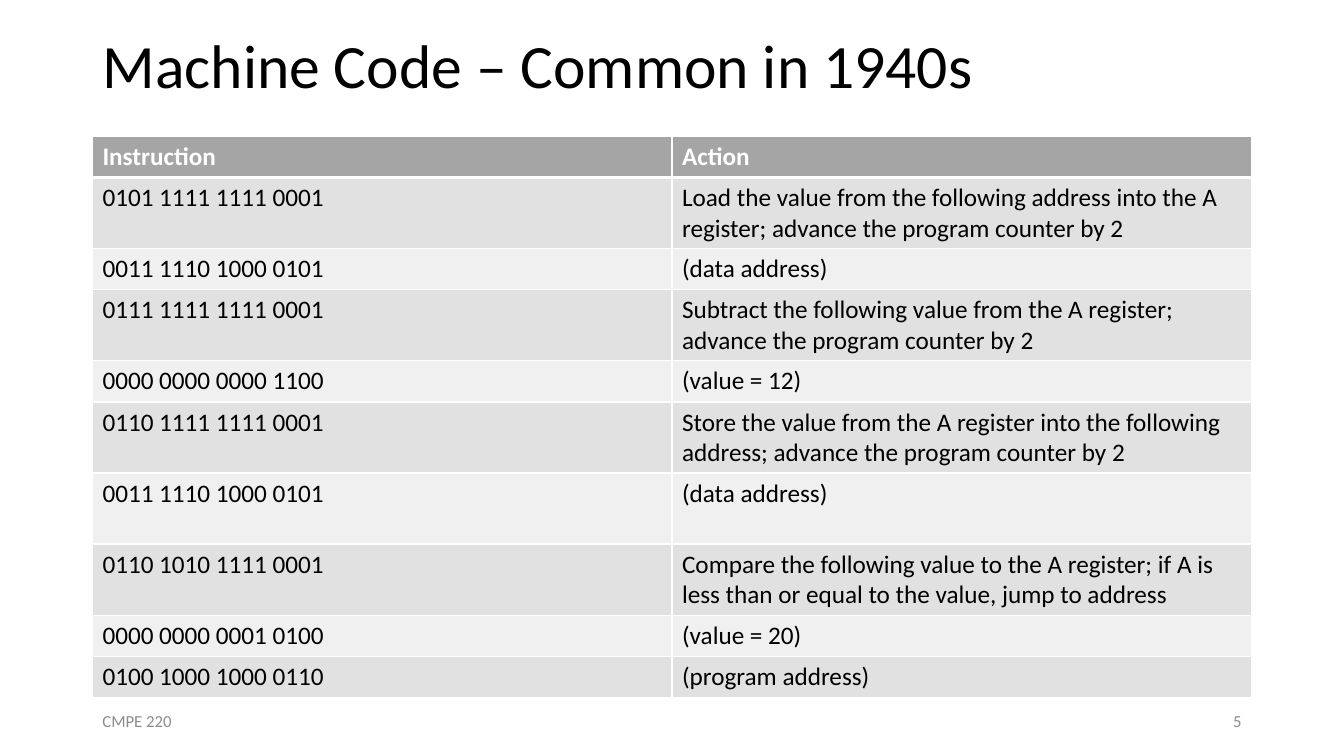
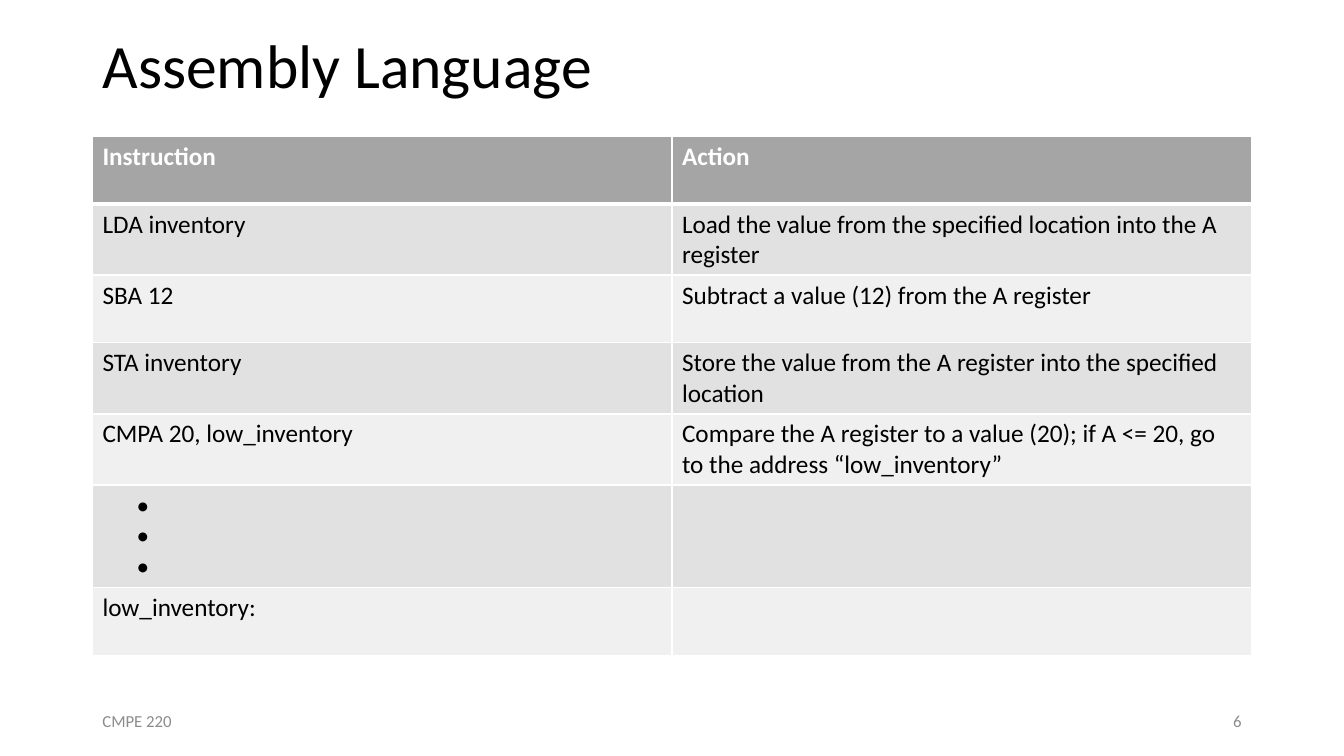
from dataclasses import dataclass

from lxml.etree import SubElement
from pptx import Presentation
from pptx.dml.color import RGBColor
from pptx.enum.text import MSO_ANCHOR as Anchor, MSO_AUTO_SIZE as AutoSize, PP_ALIGN as Align
from pptx.oxml.ns import qn
from pptx.util import Cm, Pt


@dataclass(frozen=True)
class Theme:
    font: str = "Calibri"
    title_size: int = 44
    table_size: int = 18
    footer_size: int = 12
    ink: str = "000000"
    white: str = "FFFFFF"
    footer: str = "8C8C8C"
    header: str = "A5A5A5"
    bands: tuple = ("E1E1E1", "F0F0F0")
    thin: int = 1
    thick: int = 3


THEME = Theme()

SLIDE_WIDTH, SLIDE_HEIGHT = Cm(33.87), Cm(19.05)
LEFT, WIDTH = Cm(2.33), Cm(29.21)
TITLE_HEIGHT = Cm(3.43)
FOOTER_TOP, FOOTER_WIDTH, FOOTER_HEIGHT = Cm(17.66), Cm(7.62), Cm(1.01)
DOT_INDENT = Cm(0.86)
SINGLE, MEDIUM, DOUBLE, TRIPLE = Cm(1.04), Cm(1.71), Cm(1.79), Cm(2.58)

COURSE = "CMPE 220"
FIRST_NUMBER = 5
HEADINGS = ("Instruction", "Action")
DOTS = "•\n•\n•"

SLIDES = [
    {
        "title": "Machine Code – Common in 1940s",
        "header_height": SINGLE,
        "rows": [
            (DOUBLE, "0101 1111 1111 0001",
             "Load the value from the following address into the A register; advance the program counter by 2"),
            (SINGLE, "0011 1110 1000 0101", "(data address)"),
            (DOUBLE, "0111 1111 1111 0001",
             "Subtract the following value from the A register; advance the program counter by 2"),
            (SINGLE, "0000 0000 0000 1100", "(value = 12)"),
            (DOUBLE, "0110 1111 1111 0001",
             "Store the value from the A register into the following address; advance the program counter by 2"),
            (DOUBLE, "0011 1110 1000 0101", "(data address)"),
            (DOUBLE, "0110 1010 1111 0001",
             "Compare the following value to the A register; if A is less than or equal to the value, jump to address"),
            (SINGLE, "0000 0000 0001 0100", "(value = 20)"),
            (SINGLE, "0100 1000 1000 0110", "(program address)"),
        ],
    },
    {
        "title": "Assembly Language",
        "header_height": MEDIUM,
        "rows": [
            (DOUBLE, "LDA inventory", "Load the value from the specified location into the A register"),
            (MEDIUM, "SBA 12", "Subtract a value (12) from the A register"),
            (DOUBLE, "STA inventory", "Store the value from the A register into the specified location"),
            (DOUBLE, "CMPA 20, low_inventory",
             "Compare the A register to a value (20); if A <= 20, go to the address “low_inventory”"),
            (TRIPLE, DOTS, ""),
            (MEDIUM, "low_inventory:", ""),
        ],
    },
]


def add_run(paragraph, text, size, color, bold=False):
    run = paragraph.add_run()
    run.text = text
    run.font.name = THEME.font
    run.font.size = Pt(size)
    run.font.bold = bold
    run.font.color.rgb = RGBColor.from_string(color)


def add_title(slide, text):
    title = slide.shapes.title
    title.left, title.top, title.width, title.height = LEFT, 0, WIDTH, TITLE_HEIGHT
    frame = title.text_frame
    frame.auto_size = AutoSize.NONE
    frame.vertical_anchor = Anchor.MIDDLE
    paragraph = frame.paragraphs[0]
    paragraph.alignment = Align.LEFT
    paragraph.line_spacing = 0.9
    add_run(paragraph, text, THEME.title_size, THEME.ink)


def add_footer(slide, text, left, alignment):
    frame = slide.shapes.add_textbox(left, FOOTER_TOP, FOOTER_WIDTH, FOOTER_HEIGHT).text_frame
    frame.word_wrap = True
    frame.vertical_anchor = Anchor.MIDDLE
    paragraph = frame.paragraphs[0]
    paragraph.alignment = alignment
    add_run(paragraph, text, THEME.footer_size, THEME.footer)


def set_borders(cell, top, bottom):
    properties = cell._tc.get_or_add_tcPr()
    widths = {"lnL": THEME.thin, "lnR": THEME.thin, "lnT": top, "lnB": bottom}
    for position, (side, width) in enumerate(widths.items()):
        line = SubElement(properties, qn(f"a:{side}"), w=str(Pt(width)))
        fill = SubElement(line, qn("a:solidFill"))
        SubElement(fill, qn("a:srgbClr"), val=THEME.white)
        properties.insert(position, line)


def fill_cell(cell, text, row_index):
    is_header = row_index == 0
    cell.fill.solid()
    cell.fill.fore_color.rgb = RGBColor.from_string(
        THEME.header if is_header else THEME.bands[(row_index - 1) % 2])
    set_borders(cell,
                top=THEME.thick if row_index == 1 else THEME.thin,
                bottom=THEME.thick if is_header else THEME.thin)
    if not text:
        return
    frame = cell.text_frame
    for index, line in enumerate(text.split("\n")):
        paragraph = frame.add_paragraph() if index else frame.paragraphs[0]
        if text == DOTS:
            paragraph._p.get_or_add_pPr().set("marL", str(DOT_INDENT))
        add_run(paragraph, line, THEME.table_size, THEME.white if is_header else THEME.ink, is_header)


def add_instruction_table(slide, header_height, rows):
    all_rows = [(header_height, *HEADINGS), *rows]
    total_height = sum(height for height, *_ in all_rows)
    table = slide.shapes.add_table(
        len(all_rows), len(HEADINGS), LEFT, TITLE_HEIGHT, WIDTH, total_height).table
    for row_index, (height, *texts) in enumerate(all_rows):
        table.rows[row_index].height = height
        for column_index, text in enumerate(texts):
            fill_cell(table.cell(row_index, column_index), text, row_index)


def main():
    presentation = Presentation()
    presentation.slide_width, presentation.slide_height = SLIDE_WIDTH, SLIDE_HEIGHT
    title_only = presentation.slide_layouts.get_by_name("Title Only")
    for number, content in enumerate(SLIDES, FIRST_NUMBER):
        slide = presentation.slides.add_slide(title_only)
        add_title(slide, content["title"])
        add_footer(slide, COURSE, LEFT, Align.LEFT)
        add_footer(slide, str(number), LEFT + WIDTH - FOOTER_WIDTH, Align.RIGHT)
        add_instruction_table(slide, content["header_height"], content["rows"])
    presentation.save("out.pptx")


if __name__ == "__main__":
    main()
